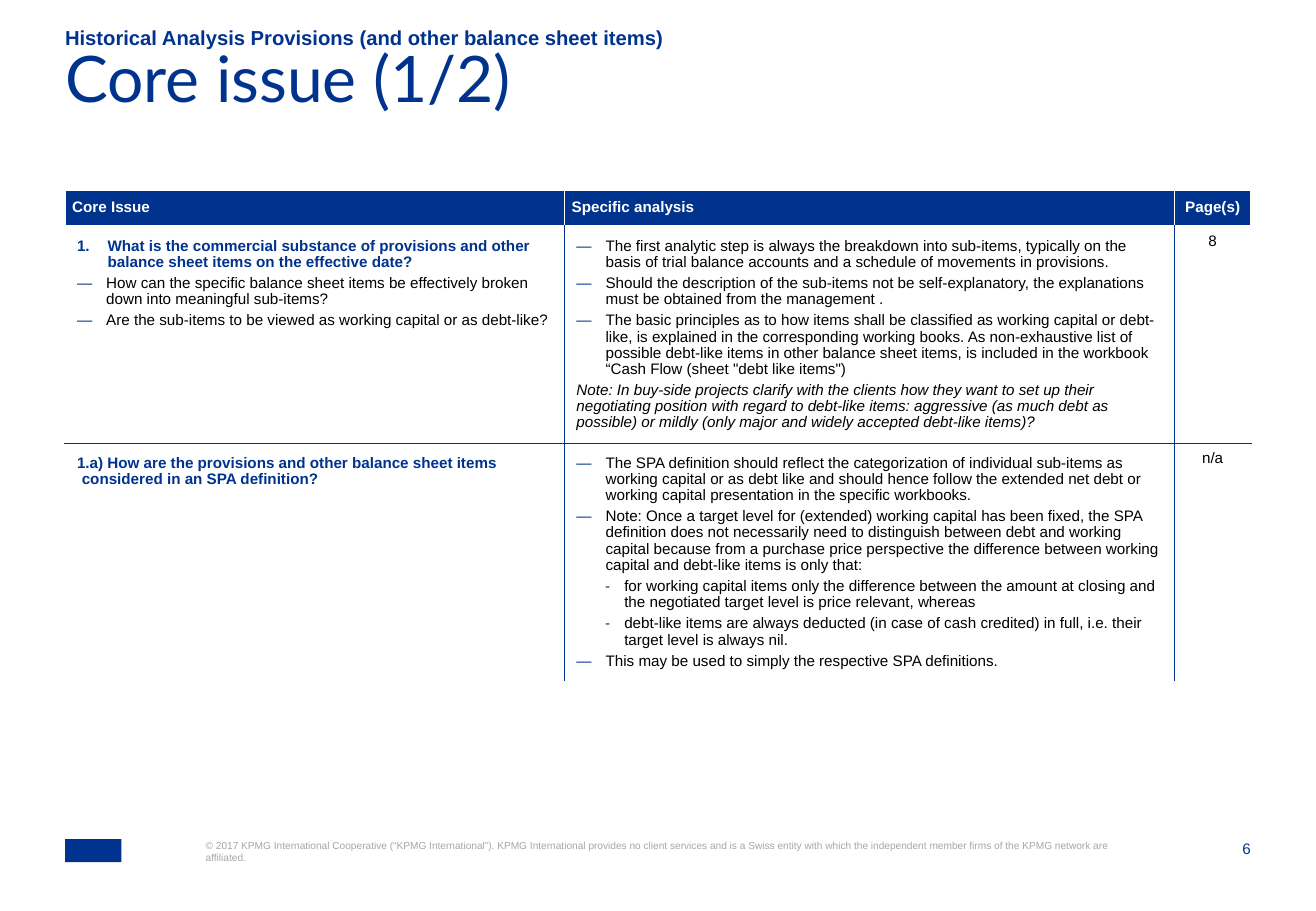
from lxml import etree
from pptx import Presentation
from pptx import util as u
from pptx.dml import color
from pptx.enum import shapes, text
from pptx.oxml import ns

BLUE, GREY, BLACK, WHITE = "00338D", "A6A6A6", "000000", "FFFFFF"
LEFT, MID, RIGHT = text.PP_ALIGN.LEFT, text.PP_ALIGN.CENTER, text.PP_ALIGN.RIGHT
TOP, CENTRE, BASE = text.MSO_ANCHOR.TOP, text.MSO_ANCHOR.MIDDLE, text.MSO_ANCHOR.BOTTOM

STYLES = {
    "head": {"hex": WHITE, "bold": True},
    "mhead": {"hex": WHITE, "bold": True, "align": MID},
    "num": {"hex": BLUE, "bold": True, "left": 0.64, "hang": 0.64, "mark": "1.", "after": 3},
    "sub": {"hex": BLUE, "bold": True, "left": 0.1, "hang": 0.1, "after": 3},
    "dash": {"left": 0.61, "hang": 0.61, "mark": "—", "after": 3},
    "minor": {"left": 1, "hang": 0.4, "mark": "-", "after": 3, "level": 1},
    "note": {"italic": True, "after": 3},
    "page": {"align": MID},
}

HEADS = [[("head", "Core Issue")], [("head", "Specific analysis")], [("mhead", "Page(s)")]]
ISSUES = [
    [
        [
            ("num", "What is the commercial substance of provisions and other balance sheet items on the effective date?"),
            ("dash", "How can the specific balance sheet items be effectively broken down into meaningful sub-items?"),
            ("dash", "Are the sub-items to be viewed as working capital or as debt-like?"),
        ],
        [
            ("dash", "The first analytic step is always the breakdown into sub-items, typically on the basis of trial balance accounts and a schedule of movements in provisions."),
            ("dash", "Should the description of the sub-items not be self-explanatory, the explanations must be obtained from the management ."),
            ("dash", "The basic principles as to how items shall be classified as working capital or debt-like, is explained in the corresponding working books. As non-exhaustive list of possible debt-like items in other balance sheet items, is included in the workbook “Cash Flow (sheet \"debt like items\")"),
            ("note", "Note: In buy-side projects clarify with the clients how they want to set up their negotiating position with regard to debt-like items: aggressive (as much debt as possible) or mildly (only major and widely accepted debt-like items)?"),
        ],
        [("page", "8")],
    ],
    [
        [("sub", "1.a) How are the provisions and other balance sheet items considered in an SPA definition?")],
        [
            ("dash", "The SPA definition should reflect the categorization of individual sub-items as working capital or as debt like and should hence follow the extended net debt or working capital presentation in the specific workbooks."),
            ("dash", "Note: Once a target level for (extended) working capital has been fixed, the SPA definition does not necessarily need to distinguish between debt and working capital because from a purchase price perspective the difference between working capital and debt-like items is only that:"),
            ("minor", "for working capital items only the difference between the amount at closing and the negotiated target level is price relevant, whereas"),
            ("minor", "debt-like items are always deducted (in case of cash credited) in full, i.e. their target level is always nil."),
            ("dash", "This may be used to simply the respective SPA definitions."),
        ],
        [("page", "n/a")],
    ],
]
LEGAL = "© 2017 KPMG International Cooperative (“KPMG International”). KPMG International provides no client services and is a Swiss entity with which the independent member firms of the KPMG network are affiliated."


def rgb(code):
    """Turn a hex string into a colour."""
    return color.RGBColor.from_string(code)


def put(obj, vals):
    """Set each named value on an object."""
    for name, val in vals.items():
        setattr(obj, name, val)


def node(parent, tag, **attrs):
    """Add a drawing element to a parent."""
    return etree.SubElement(parent, ns.qn("a:" + tag), attrs)


def style(run, code, size, face="Arial", bold=False, italic=False):
    """Format a run."""
    put(run.font, {"size": u.Pt(size), "name": face, "bold": bold, "italic": italic})
    run.font.color.rgb = rgb(code)


def bullet(para, mark):
    """Give a paragraph a blue dash or a number."""
    props = para._p.get_or_add_pPr()
    if mark == "1.":
        node(props, "buFont", typeface="+mj-lt")
        node(props, "buAutoNum", type="arabicPeriod")
    else:
        node(node(props, "buClr"), "srgbClr", val=BLUE)
        node(props, "buFont", typeface="Arial")
        node(props, "buChar", char=mark)


def write(para, kind, words):
    """Write one table paragraph in a named style."""
    look = STYLES[kind]
    props = para._p.get_or_add_pPr()
    props.set("marL", str(u.Cm(look.get("left", 0))))
    props.set("indent", str(-u.Cm(look.get("hang", 0))))
    if "mark" in look:
        bullet(para, look["mark"])
    put(para, {"alignment": look.get("align", LEFT), "line_spacing": 0.95,
               "space_after": u.Pt(look.get("after", 0)), "level": look.get("level", 0)})
    run = para.add_run()
    run.text = words
    style(run, look.get("hex", BLACK), 9, bold=look.get("bold", False), italic=look.get("italic", False))


def edge(cell, sides):
    """Draw the four borders of a cell."""
    props = cell._tc.get_or_add_tcPr()
    for spot, (side, code) in enumerate(sides.items()):
        line = etree.Element(ns.qn("a:ln" + side), {"w": str(u.Pt(1))})
        node(node(line, "solidFill"), "srgbClr", val=code)
        props.insert(spot, line)


def fill(cell, paras, inset, back, anchor):
    """Fill a table cell with its paragraphs."""
    pad = u.Cm(inset)
    put(cell, {"margin_left": pad, "margin_right": pad, "margin_top": pad,
               "margin_bottom": pad, "vertical_anchor": anchor})
    cell.fill.solid()
    cell.fill.fore_color.rgb = rgb(back)
    frame = cell.text_frame
    for num, (kind, words) in enumerate(paras):
        write(frame.add_paragraph() if num else frame.paragraphs[0], kind, words)


def grid(slide, left, top, wide, high):
    """Place the table of issues in its box."""
    rows = [HEADS] + ISSUES
    table = slide.shapes.add_table(3, 3, u.Cm(left), u.Cm(top), u.Cm(wide), u.Cm(high)).table
    put(table, {"first_row": False, "horz_banding": False})
    for col, size in zip(table.columns, (10.44, 12.75, wide - 23.19)):
        col.width = u.Cm(size)
    for row, size in zip(table.rows, (0.76, 4.54, high - 5.3)):
        row.height = u.Cm(size)
    for r, row in enumerate(rows):
        for c, paras in enumerate(row):
            cell = table.cell(r, c)
            fill(cell, paras, 0.25 if r and c < 2 else 0.15, WHITE if r else BLUE, TOP if r else CENTRE)
            edge(cell, {"L": BLUE if r and c else WHITE, "R": BLUE if r and c < 2 else WHITE,
                        "T": BLUE if r == 2 else WHITE, "B": BLUE if r == 1 else WHITE})


def label(shape, words, code, size, face="Arial", bold=False, align=LEFT, anchor=TOP, space=1.0):
    """Write one line of text into a shape without margins."""
    frame = shape.text_frame
    put(frame, {"margin_left": 0, "margin_right": 0, "margin_top": 0, "margin_bottom": 0,
                "word_wrap": True, "auto_size": text.MSO_AUTO_SIZE.NONE, "vertical_anchor": anchor})
    para = frame.paragraphs[0]
    put(para, {"alignment": align, "line_spacing": space})
    run = para.add_run()
    run.text = words
    style(run, code, size, face, bold)


def box(slide, left, top, wide, high):
    """Add a text box."""
    return slide.shapes.add_textbox(u.Cm(left), u.Cm(top), u.Cm(wide), u.Cm(high))


def header(slide, left, top, wide):
    """Place the section line and the title."""
    label(box(slide, left, top, wide, 0.48), "Historical Analysis Provisions (and other balance sheet items)",
          BLUE, 12, bold=True, anchor=BASE)
    title = slide.shapes.title
    put(title, {"left": u.Cm(left), "top": u.Cm(top + 0.68), "width": u.Cm(wide), "height": u.Cm(2)})
    label(title, "Core issue (1/2)", BLUE, 38, "Lato", space=0.7)


def footer(slide, left, top, wide):
    """Place the mark, the legal line and the page number."""
    mark = slide.shapes.add_shape(shapes.MSO_SHAPE.RECTANGLE, u.Cm(left), u.Cm(top), u.Cm(1.18), u.Cm(0.48))
    mark.shadow.inherit = False
    mark.fill.solid()
    mark.fill.fore_color.rgb = rgb(BLUE)
    mark.line.fill.background()
    label(box(slide, left + 2.94, top, 19.02, 1.04), LEGAL, GREY, 6)
    label(box(slide, left + wide - 1.1, top, 1.1, 0.41), "6", BLUE, 9, align=RIGHT)


def main():
    """Build the slide and save it."""
    deck = Presentation()
    put(deck, {"slide_width": u.Cm(27.51), "slide_height": u.Cm(19.05)})
    slide = deck.slides.add_slide(deck.slide_layouts[5])
    header(slide, 1.36, 0.56, 24.79)
    grid(slide, 1.36, 3.97, 24.79, 10.27)
    footer(slide, 1.36, 17.55, 24.79)
    deck.save("out.pptx")


if __name__ == "__main__":
    main()
